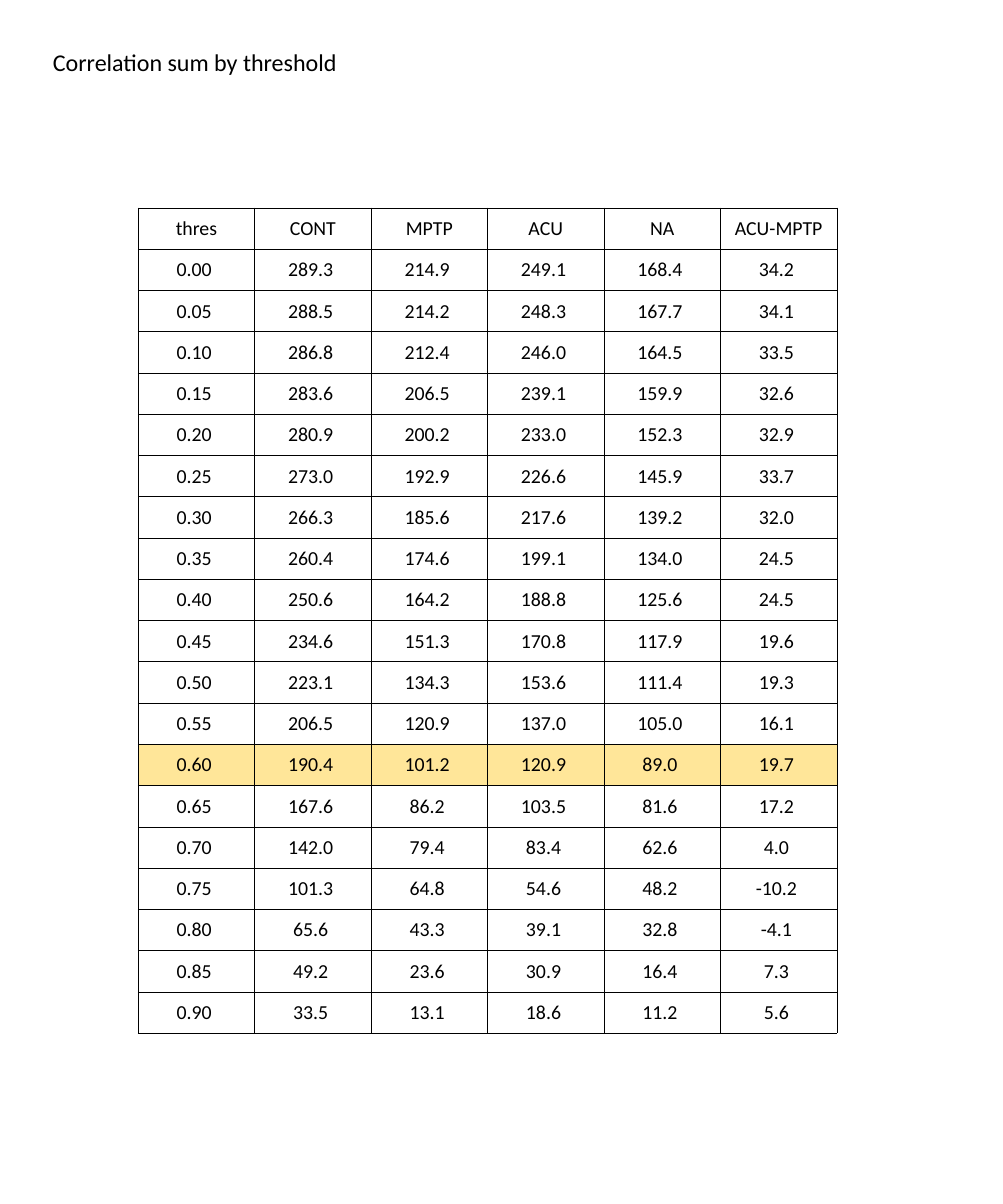
"""Build a slide with a table of correlation sums by threshold."""
from lxml import etree
from pptx import Presentation, util as u
from pptx.dml.color import RGBColor
from pptx.enum import text as t
from pptx.oxml import ns

ROW = 16.19 / 20
FONT = "Calibri"
BLACK = "000000"
GOLD = "FFE699"
STEP = 0.05
MARKED = 13
HEADS = ["thres", "CONT", "MPTP", "ACU", "NA", "ACU-MPTP"]
SUMS = [
    (289.3, 214.9, 249.1, 168.4, 34.2),
    (288.5, 214.2, 248.3, 167.7, 34.1),
    (286.8, 212.4, 246.0, 164.5, 33.5),
    (283.6, 206.5, 239.1, 159.9, 32.6),
    (280.9, 200.2, 233.0, 152.3, 32.9),
    (273.0, 192.9, 226.6, 145.9, 33.7),
    (266.3, 185.6, 217.6, 139.2, 32.0),
    (260.4, 174.6, 199.1, 134.0, 24.5),
    (250.6, 164.2, 188.8, 125.6, 24.5),
    (234.6, 151.3, 170.8, 117.9, 19.6),
    (223.1, 134.3, 153.6, 111.4, 19.3),
    (206.5, 120.9, 137.0, 105.0, 16.1),
    (190.4, 101.2, 120.9, 89.0, 19.7),
    (167.6, 86.2, 103.5, 81.6, 17.2),
    (142.0, 79.4, 83.4, 62.6, 4.0),
    (101.3, 64.8, 54.6, 48.2, -10.2),
    (65.6, 43.3, 39.1, 32.8, -4.1),
    (49.2, 23.6, 30.9, 16.4, 7.3),
    (33.5, 13.1, 18.6, 11.2, 5.6),
]


def paint(fill, tone):
    """Set a solid fill from a hex string."""
    fill.solid()
    fill.fore_color.rgb = RGBColor.from_string(tone)


def place(*spans):
    """Turn counts of the square grid unit into slide lengths."""
    return [u.Inches(n * ROW) for n in spans]


def write(frame, words, size=28, tone=BLACK, align=t.PP_ALIGN.LEFT):
    """Put one formatted paragraph in a text frame."""
    para = frame.paragraphs[0]
    para.alignment = align
    run = para.add_run()
    run.text = words
    run.font.name = FONT
    run.font.size = u.Pt(size)
    paint(run.font.fill, tone)


def edge(cell, tone=BLACK, width=1):
    """Draw a line on all four sides of a cell."""
    props = cell._tc.get_or_add_tcPr()
    for side in ("lnL", "lnR", "lnT", "lnB"):
        line = etree.SubElement(props, ns.qn(f"a:{side}"), w=str(u.Pt(width)))
        solid = etree.SubElement(line, ns.qn("a:solidFill"))
        etree.SubElement(solid, ns.qn("a:srgbClr"), val=tone)


def style(cell, words, tone=None):
    """Fill one cell with centred text, borders and an optional colour."""
    cell.margin_left = cell.margin_right = cell.margin_top = u.Inches(0.01)
    cell.margin_bottom = 0
    cell.vertical_anchor = t.MSO_ANCHOR.MIDDLE
    write(cell.text_frame, words, align=t.PP_ALIGN.CENTER)
    edge(cell)
    if tone:
        paint(cell.fill, tone)
    else:
        cell.fill.background()


def title(slide, words):
    """Add the slide heading."""
    box = slide.shapes.add_textbox(*place(1.16, 1.09, 7.21, 0.83))
    box.text_frame.word_wrap = False
    box.text_frame.auto_size = t.MSO_AUTO_SIZE.SHAPE_TO_FIT_TEXT
    write(box.text_frame, words, size=34)


def grid(slide, rows):
    """Add the table and highlight its marked row."""
    high, wide = len(rows), len(rows[0])
    spot = place(3.35, 5.04, 16.94, high)
    table = slide.shapes.add_table(high, wide, *spot).table
    table.first_row = table.horz_banding = False
    for r, row in enumerate(rows):
        for c, words in enumerate(row):
            style(table.cell(r, c), words, GOLD if r == MARKED else None)


def main():
    """Build and save the slide."""
    deck = Presentation()
    deck.slide_width, deck.slide_height = u.Cm(50), u.Cm(60)
    slide = deck.slides.add_slide(deck.slide_layouts[6])
    title(slide, "Correlation sum by threshold")
    body = [[f"{i * STEP:.2f} "] + [f"{n:.1f} " for n in sums]
            for i, sums in enumerate(SUMS)]
    grid(slide, [HEADS] + body)
    deck.save("out.pptx")


if __name__ == "__main__":
    main()
